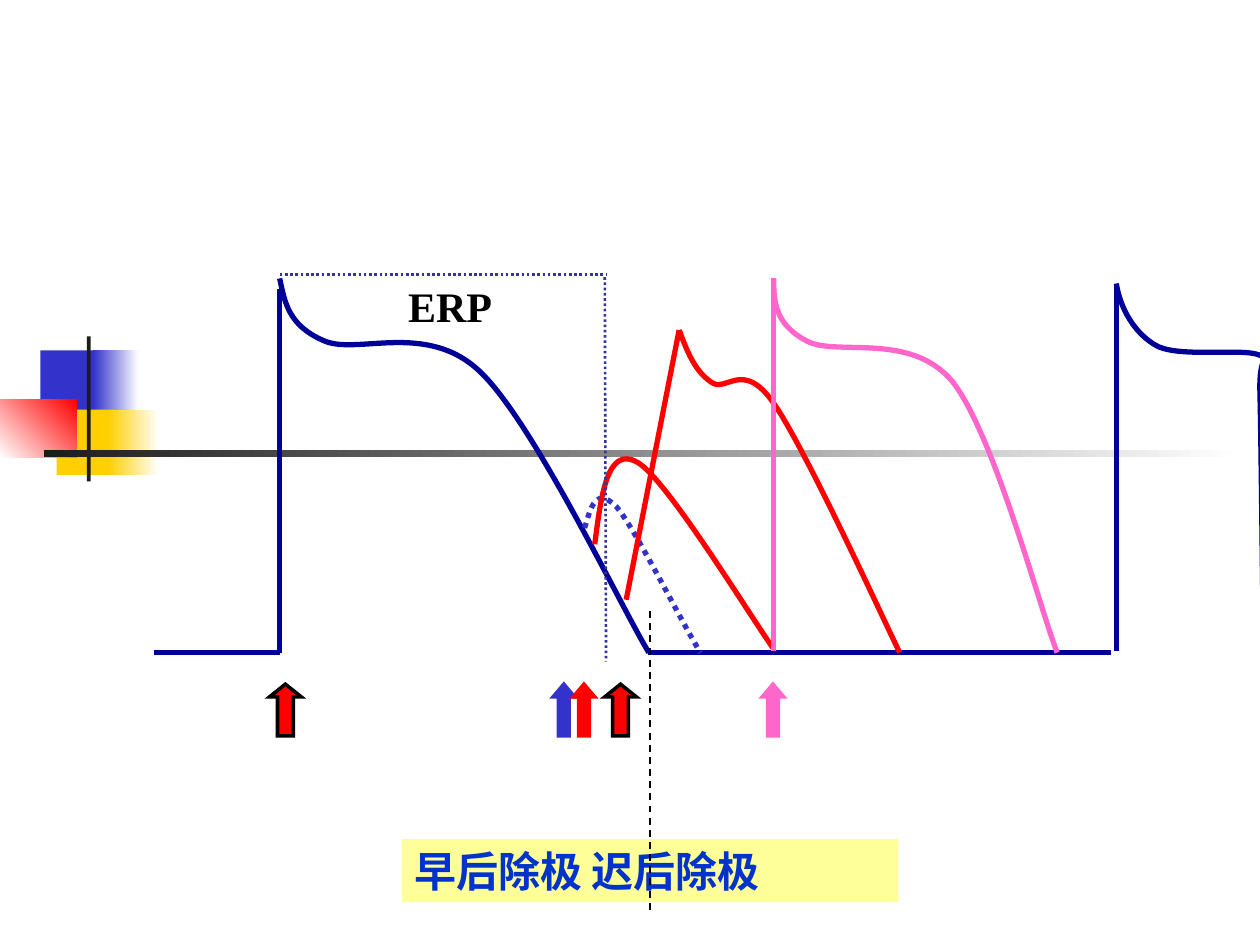
from pptx import Presentation
from pptx.dml.color import RGBColor
from pptx.enum.dml import MSO_LINE
from pptx.enum.shapes import MSO_CONNECTOR, MSO_SHAPE
from pptx.enum.text import MSO_AUTO_SIZE
from pptx.oxml.ns import qn
from pptx.util import Inches, Pt
from lxml import etree

RECTANGLE, UP_ARROW = MSO_SHAPE.RECTANGLE, MSO_SHAPE.UP_ARROW
STRAIGHT = MSO_CONNECTOR.STRAIGHT
DOTTED, DASHED = MSO_LINE.ROUND_DOT, MSO_LINE.DASH
FIT_SHAPE = MSO_AUTO_SIZE.SHAPE_TO_FIT_TEXT

WHITE = RGBColor(0xFF, 0xFF, 0xFF)
BLACK = RGBColor(0x00, 0x00, 0x00)
CHARCOAL = RGBColor(0x1C, 0x1C, 0x1C)
NAVY = RGBColor(0x00, 0x00, 0x99)
INDIGO = RGBColor(0x33, 0x33, 0x99)
BLUE = RGBColor(0x33, 0x33, 0xCC)
TEXT_BLUE = RGBColor(0x00, 0x33, 0xCC)
RED = RGBColor(0xFF, 0x00, 0x00)
PINK = RGBColor(0xFF, 0x66, 0xCC)
GOLD = RGBColor(0xFF, 0xCF, 0x01)
PALE_YELLOW = RGBColor(0xFF, 0xFF, 0x99)

BASELINE = 3.0  # resting potential, below the top of the recording

# Points of each trace: two make a straight line; more make a start point
# followed by triples of Bezier points.
TRACES = [
    ([(0, BASELINE), (1, BASELINE)], NAVY, 3, None),
    ([(1, BASELINE), (1, 0.11)], NAVY, 3, None),
    ([(3.92, BASELINE), (7.6, BASELINE)], NAVY, 3, None),
    ([(1, 0.03), (1.04, 0.22), (1.07, 0.4), (1.34, 0.52),
      (1.6, 0.65), (2.16, 0.36), (2.59, 0.77),
      (3.02, 1.18), (3.7, 2.62), (3.93, BASELINE)], NAVY, 3, None),
    ([(3.42, 2.01), (3.47, 1.84), (3.51, 1.68), (3.67, 1.84),
      (3.82, 2.01), (4.21, 2.8), (4.34, BASELINE)], BLUE, 3, DOTTED),
    ([(3.5, 2.14), (3.55, 1.75), (3.6, 1.35), (3.84, 1.49),
      (4.07, 1.62), (4.74, 2.72), (4.92, 2.97)], RED, 3, None),
    ([(1, 0), (3.59, 0)], INDIGO, 1.5, DOTTED),
    ([(3.58, 0.02), (3.59, 3.07)], INDIGO, 1.5, DOTTED),
    ([(3.75, 2.58), (4.17, 0.44)], RED, 3, None),
    ([(4.17, 0.44), (4.23, 0.6), (4.29, 0.76), (4.42, 0.85),
      (4.54, 0.95), (4.67, 0.66), (4.92, 1.02),
      (5.17, 1.38), (5.76, 2.67), (5.92, BASELINE)], RED, 3, None),
    ([(4.92, 2.99), (4.92, 0.03)], PINK, 3, None),
    ([(4.92, 0.03), (4.92, 0.21), (4.93, 0.39), (5.17, 0.52),
      (5.4, 0.66), (6, 0.44), (6.34, 0.85),
      (6.67, 1.27), (7.03, 2.64), (7.17, BASELINE)], PINK, 3, None),
    ([(7.64, 2.99), (7.64, 0.1)], NAVY, 3, None),
    ([(7.64, 0.07), (7.67, 0.26), (7.78, 0.47), (7.97, 0.57),
      (8.17, 0.66), (8.65, 0.58), (8.78, 0.64),
      (8.91, 0.71), (8.77, 0.54), (8.78, 0.93),
      (8.79, 1.32), (8.8, 2.55), (8.81, 2.98)], NAVY, 3, None),
]

# Left edge, width, fill and outline of each stimulus arrow
STIMULI = [
    (0.92, 0.25, RED, BLACK),
    (3.17, 0.17, BLUE, BLUE),
    (3.33, 0.17, RED, RED),
    (3.58, 0.25, RED, BLACK),
    (4.83, 0.17, PINK, PINK),
]


def add_block(slide, left, top, width, height, color, end_color=None, angle=0):
    """Borderless rectangle, graded from color to end_color if one is given."""
    block = slide.shapes.add_shape(
        RECTANGLE, Inches(left), Inches(top), Inches(width), Inches(height))
    block.shadow.inherit = False
    block.line.fill.background()
    if end_color is None:
        block.fill.solid()
        block.fill.fore_color.rgb = color
    else:
        block.fill.gradient()
        block.fill.gradient_angle = angle
        for stop, stop_color in zip(block.fill.gradient_stops, (color, end_color)):
            stop.color.rgb = stop_color


def add_curve(slide, points):
    """Open freeform whose points after the first are Bezier triples."""
    emu_points = [(Inches(x), Inches(y)) for x, y in points]
    builder = slide.shapes.build_freeform(*emu_points[0])
    builder.add_line_segments(emu_points[1:], close=False)
    curve = builder.convert_to_shape()
    curve.shadow.inherit = False
    curve.fill.background()
    segments = list(curve._element.iter(qn("a:lnTo")))
    for first, second, third in zip(*[iter(segments)] * 3):
        bezier = etree.Element(qn("a:cubicBezTo"))
        first.addprevious(bezier)
        for segment in (first, second, third):
            bezier.append(segment[0])
            segment.getparent().remove(segment)
    return curve


def add_straight(slide, start, end):
    line = slide.shapes.add_connector(
        STRAIGHT, *[Inches(value) for value in (*start, *end)])
    etree.SubElement(line._element.spPr, qn("a:effectLst"))
    return line


def add_trace(slide, points, color, weight, dash=None):
    trace = add_straight(slide, *points) if len(points) == 2 else add_curve(slide, points)
    trace.line.color.rgb = color
    trace.line.width = Pt(weight)
    if dash is not None:
        trace.line.dash_style = dash


def add_text(slide, text, left, top, width, height, *, font, color,
             size=24, bold=True, fill=None):
    box = slide.shapes.add_textbox(
        Inches(left), Inches(top), Inches(width), Inches(height))
    if fill is not None:
        box.fill.solid()
        box.fill.fore_color.rgb = fill
    frame = box.text_frame
    frame.word_wrap = True
    frame.auto_size = FIT_SHAPE
    run = frame.paragraphs[0].add_run()
    run.text = text
    run.font.name = font
    run.font.size = Pt(size)
    run.font.bold = bold
    run.font.color.rgb = color


def add_stimulus(slide, left, top, width, fill, outline, height=0.41, head=0.1):
    arrow = slide.shapes.add_shape(
        UP_ARROW, Inches(left), Inches(top), Inches(width), Inches(height))
    arrow.shadow.inherit = False
    arrow.adjustments[1] = head / width
    arrow.fill.solid()
    arrow.fill.fore_color.rgb = fill
    arrow.line.color.rgb = outline
    arrow.line.width = Pt(2)
    outline_xml = arrow._element.spPr.find(qn("a:ln"))
    etree.SubElement(outline_xml, qn("a:miter"), lim="800000")


def add_decoration(slide, left, top):
    """Coloured squares crossed by a vertical bar and a long fading bar."""
    add_block(slide, left + 0.32, top + 0.11, 0.48, 0.52, BLUE)
    add_block(slide, left + 0.74, top + 0.11, 0.36, 0.52, BLUE, WHITE)
    add_block(slide, left + 0.45, top + 0.58, 0.46, 0.52, GOLD)
    add_block(slide, left + 0.86, top + 0.58, 0.4, 0.52, GOLD, WHITE)
    add_block(slide, left, top + 0.5, 0.61, 0.46, WHITE, RED, angle=45)
    add_block(slide, left + 0.69, top, 0.03, 1.15, CHARCOAL)
    add_block(slide, left + 0.35, top + 0.9, 9.51, 0.06, CHARCOAL, WHITE)


def add_recording(slide, left, top):
    """Action potentials, their stimuli and the caption."""
    def place(points):
        return [(left + x, top + y) for x, y in points]

    for points, color, weight, dash in TRACES:
        add_trace(slide, place(points), color, weight, dash)
    add_text(slide, "ERP", left + 1.92, top, 0.92, 0.5,
             font="Times New Roman", color=BLACK)
    for offset, width, fill, outline in STIMULI:
        add_stimulus(slide, left + offset, top + 3.25, width, fill, outline)
    add_text(slide, "早后除极 迟后除极", left + 1.97, top + 4.48, 3.94, 0.5,
             font="Arial", color=TEXT_BLUE, fill=PALE_YELLOW)
    add_trace(slide, place([(3.94, 2.67), (3.94, 5.04)]), BLACK, 1, DASHED)


def main():
    prs = Presentation()
    prs.slide_width, prs.slide_height = Inches(10), Inches(7.5)
    slide = prs.slides.add_slide(prs.slide_layouts[6])
    add_decoration(slide, 0, 2.67)
    add_recording(slide, 1.22, 2.18)
    prs.save("out.pptx")


if __name__ == "__main__":
    main()
